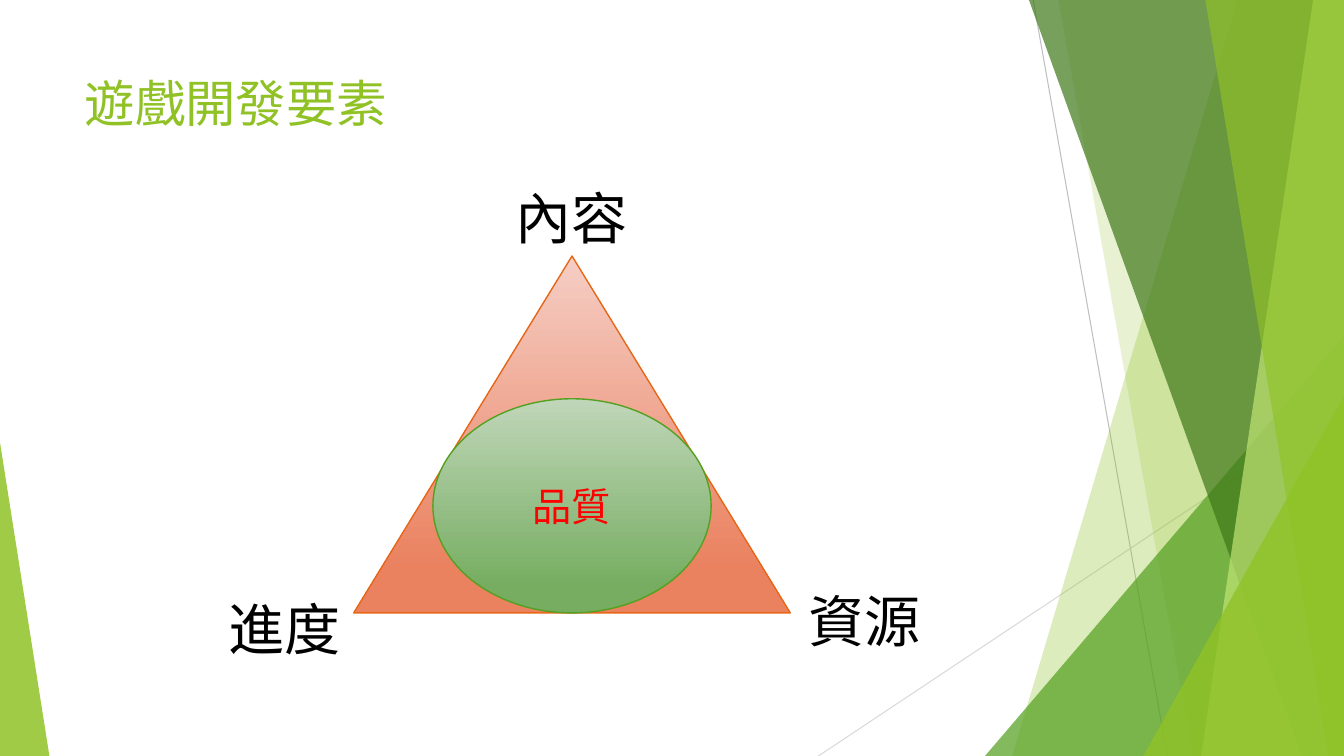
from lxml import etree
from pptx import Presentation
from pptx.dml.color import RGBColor
from pptx.enum import shapes, text
from pptx.oxml.ns import qn
from pptx.util import Pt

WIDTH, HEIGHT = 960, 540
GREEN = "90C226"


def rgb(value):
    return RGBColor.from_string(value)


def write(tf, words, fmt):
    p = tf.paragraphs[0]
    r = p.add_run()
    r.text = words
    r.font.color.rgb = rgb(fmt["color"])
    for name, value in fmt["font"].items():
        setattr(r.font, name, value)
    for name, value in fmt.get("paragraph", {}).items():
        setattr(p, name, value)
    for name, value in fmt.get("frame", {}).items():
        setattr(tf, name, value)


def paint(sp, color, opacity):
    sp.shadow.inherit = False
    sp.fill.solid()
    sp.fill.fore_color.rgb = rgb(color)
    sp.line.fill.background()
    fill = sp.fill._xPr.find(qn("a:solidFill"))
    etree.SubElement(fill[0], qn("a:alpha"), val=str(opacity * 1000))


def shade(sp, top, bottom, line):
    sp.shadow.inherit = False
    sp.fill.gradient()
    sp.fill.gradient_angle = 270
    for stop, color, position in zip(sp.fill.gradient_stops, (top, bottom), (0, 0.88)):
        stop.color.rgb = rgb(color)
        stop.position = position
    sp.line.color.rgb = rgb(line)
    sp.line.width = Pt(1)


def add_ray(s, x1, y1, x2, y2, color):
    ray = s.shapes.add_connector(shapes.MSO_CONNECTOR.STRAIGHT, Pt(x1), Pt(y1), Pt(x2), Pt(y2))
    ray.line.color.rgb = rgb(color)
    ray.line.width = Pt(0.75)
    etree.SubElement(ray._element.spPr, qn("a:effectLst"))


def add_band(s, top_x, bottom_x, color, opacity):
    builder = s.shapes.build_freeform(top_x, 0, scale=Pt(1))
    builder.add_line_segments([(WIDTH, 0), (WIDTH, HEIGHT), (bottom_x, HEIGHT)], close=True)
    paint(builder.convert_to_shape(), color, opacity)


def add_corner(s, left, top, width, apex, color, opacity):
    sp = s.shapes.add_shape(shapes.MSO_SHAPE.ISOSCELES_TRIANGLE,
                            Pt(left), Pt(top), Pt(width), Pt(HEIGHT - top))
    sp.adjustments[0] = apex
    paint(sp, color, opacity)


def add_backdrop(s):
    add_ray(s, 738, 0, 833.8, HEIGHT, "BFBFBF")
    add_ray(s, WIDTH, 290.2, 584.6, HEIGHT, "D9D9D9")
    add_band(s, 884.2, 722.9, GREEN, 30)
    add_band(s, 756, 851.8, GREEN, 20)
    add_corner(s, 703.6, 239.8, 256.4, 1, "54A021", 72)
    add_band(s, 735.1, 929.5, "3F7819", 70)
    add_band(s, 938.2, 858.2, "C0E474", 70)
    add_band(s, 861.1, 949, GREEN, 65)
    add_corner(s, 816.6, 283, 143.4, 1, GREEN, 80)
    add_corner(s, 0, 316.1, 35.3, 0, GREEN, 85)


def add_title(s, left, top, width, height, words):
    sp = s.shapes.title
    for name, value in dict(left=left, top=top, width=width, height=height).items():
        setattr(sp, name, Pt(value))
    write(sp.text_frame, words, {
        "color": GREEN,
        "font": {"size": Pt(36), "name": "Roboto"},
        "paragraph": {"alignment": text.PP_ALIGN.LEFT},
        "frame": {"vertical_anchor": text.MSO_ANCHOR.TOP, "word_wrap": True},
    })


def add_label(s, left, top, width, height, words):
    sp = s.shapes.add_textbox(Pt(left), Pt(top), Pt(width), Pt(height))
    write(sp.text_frame, words, {
        "color": "000000",
        "font": {"size": Pt(40), "name": "Cabin"},
        "frame": {"word_wrap": False, "auto_size": text.MSO_AUTO_SIZE.SHAPE_TO_FIT_TEXT},
    })


def add_quality_triangle(s, left, top, width, height):
    right, bottom, center = left + width, top + height, left + width / 2
    triangle = s.shapes.add_shape(shapes.MSO_SHAPE.ISOSCELES_TRIANGLE,
                                  Pt(left), Pt(top), Pt(width), Pt(height))
    shade(triangle, "F5CEC5", "EA815F", "E76618")

    label_w, label_h = 95, 55.4
    for x, y, words in (
        (left - label_w - 1.5, bottom - 16.6, "進度"),
        (center - label_w / 2, top - label_h, "內容"),
        (right + 5.8, bottom - 22.4, "資源"),
    ):
        add_label(s, x, y, label_w, label_h, words)

    oval_w, oval_h = 198.7, height * 0.6
    oval = s.shapes.add_shape(shapes.MSO_SHAPE.OVAL, Pt(center - oval_w / 2),
                              Pt(bottom - oval_h), Pt(oval_w), Pt(oval_h))
    shade(oval, "C0D6B9", "76AD61", "54A021")
    write(oval.text_frame, "品質", {
        "color": "FF0000",
        "font": {"size": Pt(28), "name": "Roboto"},
        "paragraph": {"alignment": text.PP_ALIGN.CENTER},
        "frame": {"vertical_anchor": text.MSO_ANCHOR.MIDDLE},
    })


def main():
    prs = Presentation()
    prs.slide_width, prs.slide_height = Pt(WIDTH), Pt(HEIGHT)
    s = prs.slides.add_slide(prs.slide_layouts[5])
    add_backdrop(s)
    add_title(s, 53.3, 48.2, 676.8, 103.7, "遊戲開發要素")
    add_quality_triangle(s, 252.7, 182.9, 311.8, 254.9)
    prs.save("out.pptx")


if __name__ == "__main__":
    main()
